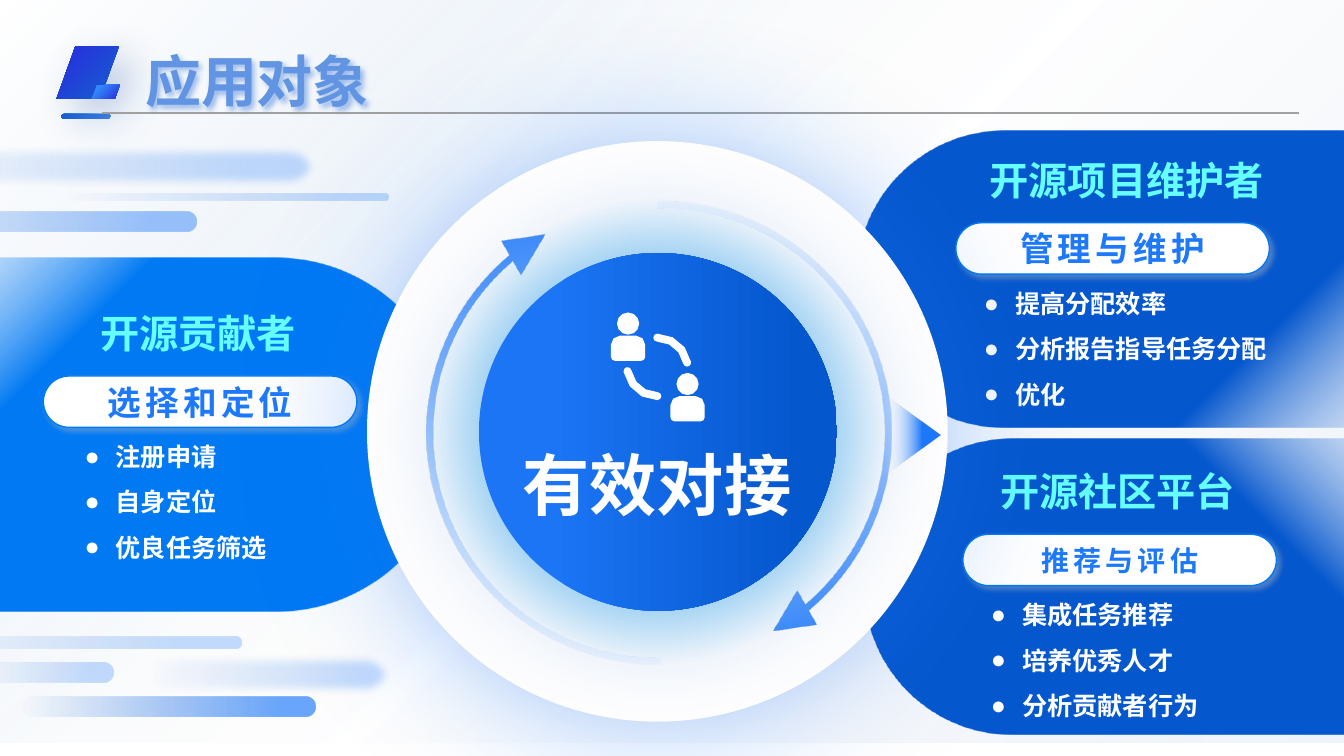
import math

from lxml import etree
from pptx import Presentation
from pptx.dml.color import RGBColor
from pptx.enum.shapes import MSO_CONNECTOR, MSO_SHAPE
from pptx.enum.text import MSO_ANCHOR, MSO_AUTO_SIZE, PP_ALIGN
from pptx.oxml.ns import qn
from pptx.util import Inches, Pt

PILL = MSO_SHAPE.ROUNDED_RECTANGLE
OVAL = MSO_SHAPE.OVAL
SLANT = MSO_SHAPE.PARALLELOGRAM
CENTER, LEFT = PP_ALIGN.CENTER, PP_ALIGN.LEFT
FONT = "Noto Sans CJK SC"
WHITE, BLUE, DEEP, NAVY, AQUA = "FFFFFF", "1D78FA", "165FCF", "10479B", "66FFFF"


def rgb(value):
    return RGBColor.from_string(value)


def child(parent, tag, **attrs):
    return etree.SubElement(parent, qn(tag), {k: str(v) for k, v in attrs.items()})


def add_color(parent, color, alpha=100):
    clr = child(parent, "a:srgbClr", val=color)
    if alpha < 100:
        child(clr, "a:alpha", val=alpha * 1000)


def gradient(stops, angle=0, focus=None):
    """Stops are (percent, colour[, opacity]); focus makes the gradient circular."""
    grad = etree.Element(qn("a:gradFill"), rotWithShape="1")
    stop_list = child(grad, "a:gsLst")
    for pos, *color in stops:
        add_color(child(stop_list, "a:gs", pos=pos * 1000), *color)
    if focus:
        circle = child(grad, "a:path", path="circle")
        child(circle, "a:fillToRect", **{k: v * 1000 for k, v in zip("ltrb", focus)})
    else:
        child(grad, "a:lin", ang=angle * 60000, scaled=0)
    return grad


def add_effect(sp, tag, **attrs):
    return child(sp._element.spPr.find(qn("a:effectLst")), tag, **attrs)


def add_shadow(sp, color, alpha, blur, dist=0, angle=0):
    shadow = add_effect(sp, "a:outerShdw", blurRad=Pt(blur), dist=Pt(dist),
                        dir=angle * 60000, algn="ctr", rotWithShape=0)
    add_color(shadow, color, alpha)


def add_shape(s, kind, box, fill, adj=(), rotation=0, line=None):
    """Fill is a hex colour or a gradient element."""
    sp = s.shapes.add_shape(kind, *map(Inches, box))
    sp.shadow.inherit = False
    sp.rotation = rotation
    for i, value in enumerate(adj):
        sp.adjustments[i] = value
    if isinstance(fill, str):
        sp.fill.solid()
        sp.fill.fore_color.rgb = rgb(fill)
    else:
        sp._element.spPr.insert(2, fill)
    if line:
        sp.line.color.rgb = rgb(line)
        sp.line.width = Pt(1)
    else:
        sp.line.fill.background()
    return sp


def add_run(p, text, size, color):
    r = p.add_run()
    r.text = text
    r.font.size = Pt(size)
    r.font.bold = True
    r.font.name = FONT
    if color:
        r.font.color.rgb = rgb(color)
    child(r._r.get_or_add_rPr(), "a:ea", typeface=FONT)
    return r


def add_text(s, box, lines, size, color, align=CENTER, bullets=False):
    tb = s.shapes.add_textbox(*map(Inches, box))
    tf = tb.text_frame
    tf.word_wrap = True
    tf.auto_size = MSO_AUTO_SIZE.SHAPE_TO_FIT_TEXT
    for i, line in enumerate(lines):
        p = tf.paragraphs[0] if i == 0 else tf.add_paragraph()
        p.alignment = align
        if bullets:
            pPr = p._p.get_or_add_pPr()
            pPr.set("marL", str(Inches(0.31)))
            pPr.set("indent", str(-Inches(0.31)))
            child(pPr, "a:buFont", typeface="Arial")
            child(pPr, "a:buChar", char="●")
            p.line_spacing = 1.5
        add_run(p, line, size, color)
    return tb


def header(s, x, y):
    add_shape(s, PILL, (x + 0.05, y + 0.67, 0.49, 0.05),
              gradient([(0, "4084EB"), (100, DEEP)], 225), [0.5])
    mark = add_shape(s, SLANT, (x, y, 0.62, 0.52),
                     gradient([(4, "282EDD"), (100, DEEP)], focus=(0, 0, 100, 100)), [0.36])
    add_shadow(mark, NAVY, 30, 30, 15, 45)
    add_shape(s, SLANT, (x + 0.35, y + 0.38, 0.28, 0.14),
              gradient([(27, "3287FB"), (100, "282EDD")], 45), [0.36])
    title = add_text(s, (x + 0.78, y - 0.05, 6.39, 0.77), ["应用对象"], 40, None, LEFT)
    rPr = title.text_frame.paragraphs[0].runs[0]._r.rPr
    rPr.insert(0, gradient([(0, "6195E3"), (66, "282EDD")], 270))
    title.shadow.inherit = False
    add_shadow(title, DEEP, 40, 4, 3, 45)
    rule = s.shapes.add_connector(MSO_CONNECTOR.STRAIGHT, Inches(x + 0.45), Inches(y + 0.66),
                                  Inches(x + 12.32), Inches(y + 0.66))
    rule.line.color.rgb = rgb("A0A0A0")
    rule.line.width = Pt(1)
    child(rule._element.spPr, "a:effectLst")


def speed_lines(s, color, top_alpha, mirrored=False):
    """Fading bars at the left side, or mirrored to the right side."""
    bars = [((-1.7, 2.1, 3.65, 0.2), 0, top_alpha), ((-2.12, 1.43, 5.29, 0.44), 11, 26),
            ((0.67, 1.92, 3.18, 0.07), 0, 26), ((0.21, 6.91, 2.92, 0.2), 0, 65),
            ((1.1, 6.47, 2.81, 0.44), 11, 26), ((-1.82, 6.32, 4.22, 0.11), 23, 26),
            ((-0.24, 6.57, 1.37, 0.2), 0, 26)]
    for (x, y, w, h), start, alpha in bars:
        left = 13.34 - x - w if mirrored else x
        bar = add_shape(s, PILL, (left, y, w, h),
                        gradient([(start, color, 0), (87, BLUE, alpha)]), [0.5])
        if mirrored:
            bar._element.spPr.xfrm.set("flipH", "1")
        if h > 0.4:
            add_effect(bar, "a:softEdge", rad=Pt(6))


def card(s, box, color, angle, pill, title, label, items,
         label_size=24, title_w=2.53, title_dx=-0.02, list_dx=0.18, list_w=3.17):
    """Pill is the offset of the label from the card; title and list follow it."""
    add_shape(s, PILL, box, gradient([(0, "F2F7FE", 0), (34, color)], angle), [0.5])
    x, y, w = box[0] + pill[0], box[1] + pill[1], 3.11
    add_text(s, (x + list_dx, y + 0.45, list_w, 1.46), items, 18, WHITE, LEFT, bullets=True)
    add_text(s, (x + (w - title_w) / 2 + title_dx, y - 0.71, title_w, 0.57), [title], 28, AQUA)
    sp = add_shape(s, PILL, (x, y, w, 0.51), WHITE, [0.5], line="0079F3")
    add_shadow(sp, "BFBFBF", 40, 4, 3, 45)
    sp.text_frame.vertical_anchor = MSO_ANCHOR.MIDDLE
    p = sp.text_frame.paragraphs[0]
    p.alignment = CENTER
    add_run(p, label, label_size, BLUE)._r.rPr.set("spc", "300")


def arc(cx, cy, radius, start, end):
    count = math.ceil(abs(end - start) / (30 if radius > 0.1 else 45))
    steps = [math.radians(start + (end - start) * i / count) for i in range(count + 1)]
    return [(cx + radius * math.cos(a), cy + radius * math.sin(a)) for a in steps]


def person(cx, top):
    head = arc(cx, top + 0.11, 0.11, 0, 360)
    left, right, shoulder, base = cx - 0.17, cx + 0.17, top + 0.23, top + 0.48
    body = (arc(left + 0.09, shoulder + 0.09, 0.09, 180, 270)
            + arc(right - 0.09, shoulder + 0.09, 0.09, 270, 360)
            + arc(right - 0.04, base - 0.04, 0.04, 0, 90)
            + arc(left + 0.04, base - 0.04, 0.04, 90, 180))
    return [head, body]


def swap_band(cx, cy, start, end):
    """Curved band with round ends."""
    r, half = 0.3, 0.04
    spine = arc(cx, cy, r, start, end)
    return (arc(cx, cy, r + half, start, end) + arc(*spine[-1], half, end, end + 180)
            + arc(cx, cy, r - half, end, start) + arc(*spine[0], half, start + 180, start + 360))


def exchange_icon(s, x, y):
    contours = person(x + 0.17, y) + person(x + 0.76, y + 0.6)
    contours += [swap_band(x + 0.46, y + 0.55, 270, 350),
                 swap_band(x + 0.46, y + 0.53, 90, 170)]
    builder = None
    for contour in contours:
        first, *rest = [(Inches(px), Inches(py)) for px, py in contour]
        if builder is None:
            builder = s.shapes.build_freeform(*first)
        else:
            builder.move_to(*first)
        builder.add_line_segments(rest, close=True)
    icon = builder.convert_to_shape()
    icon.shadow.inherit = False
    icon.fill.solid()
    icon.fill.fore_color.rgb = rgb(WHITE)
    icon.line.fill.background()


def hub(s, x, y):
    ring = add_shape(s, OVAL, (x, y, 5.76, 5.76), gradient(
        [(0, "00B0F0"), (26, "80D8F8"), (57, WHITE)], focus=(50, 50, 50, 50)))
    add_shadow(ring, BLUE, 40, 100)
    core = add_shape(s, OVAL, (x + 1.11, y + 1.11, 3.55, 3.55),
                     gradient([(20, "1B75F5"), (90, "0557CD")]))
    add_shadow(core, DEEP, 40, 100)
    add_text(s, (x + 1.39, y + 2.95, 2.97, 0.91), ["有效对接"], 48, WHITE)
    for dx, rotation in ((0.45, 75), (0.43, 255)):
        add_shape(s, MSO_SHAPE.CIRCULAR_ARROW, (x + dx, y + 0.44, 4.91, 4.91),
                  gradient([(0, WHITE, 0), (87, BLUE)]),
                  [1.4 / 100, 6.28, 200.94, 116.65, 0.04], rotation)
    exchange_icon(s, x + 2.42, y + 1.7)
    add_shape(s, MSO_SHAPE.ISOSCELES_TRIANGLE, (x + 5.01, y + 2.64, 0.8, 0.55),
              gradient([(33, BLUE), (100, WHITE, 0)], 90), rotation=90)


def main():
    prs = Presentation()
    prs.slide_width, prs.slide_height = Inches(13.33), Inches(7.5)
    s = prs.slides.add_slide(prs.slide_layouts[6])
    add_shape(s, MSO_SHAPE.RECTANGLE, (0, 0, 13.4, 7.37), gradient(
        [(0, WHITE), (25, "EDF3FA", 79), (52, WHITE, 53), (100, "DBE6F4", 49)], 45))
    header(s, 0.56, 0.46)
    speed_lines(s, DEEP, 43)
    speed_lines(s, NAVY, 65, mirrored=True)
    card(s, (-1.77, 2.56, 6.26, 3.51), "0079F3", 45, (2.2, 1.17), "开源贡献者", "选择和定位",
         ["注册申请", "自身定位", "优良任务筛选"], list_dx=0.31, list_w=2.53)
    card(s, (8.5, 1.3, 6.26, 2.94), "0557CD", 225, (0.98, 0.91), "开源项目维护者", "管理与维护",
         ["提高分配效率", "分析报告指导任务分配", "优化"], title_w=3.68, title_dx=0.14)
    card(s, (8.57, 4.35, 6.26, 2.94), "0557CD", 135, (0.98, 0.95), "开源社区平台", "推荐与评估",
         ["集成任务推荐", "培养优秀人才", "分析贡献者行为"], label_size=20)
    hub(s, 3.64, 1.4)
    prs.save("out.pptx")


if __name__ == "__main__":
    main()
